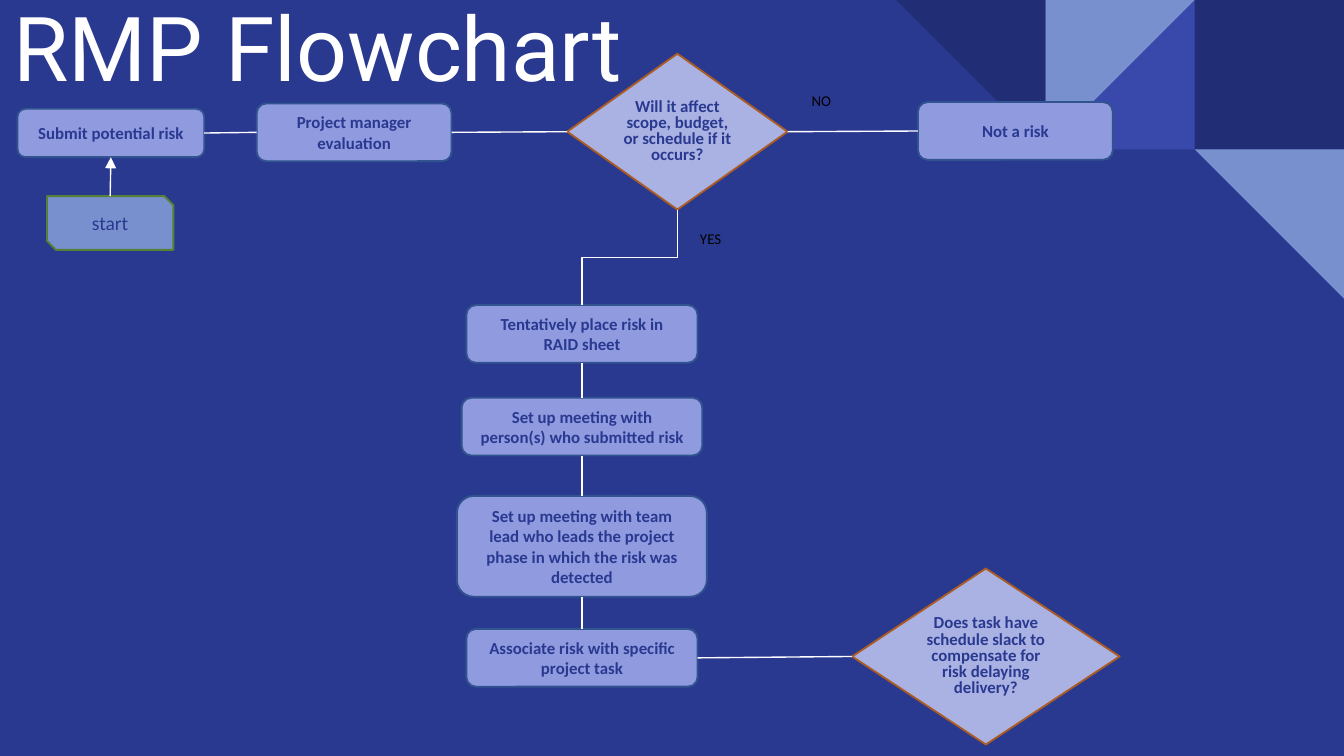
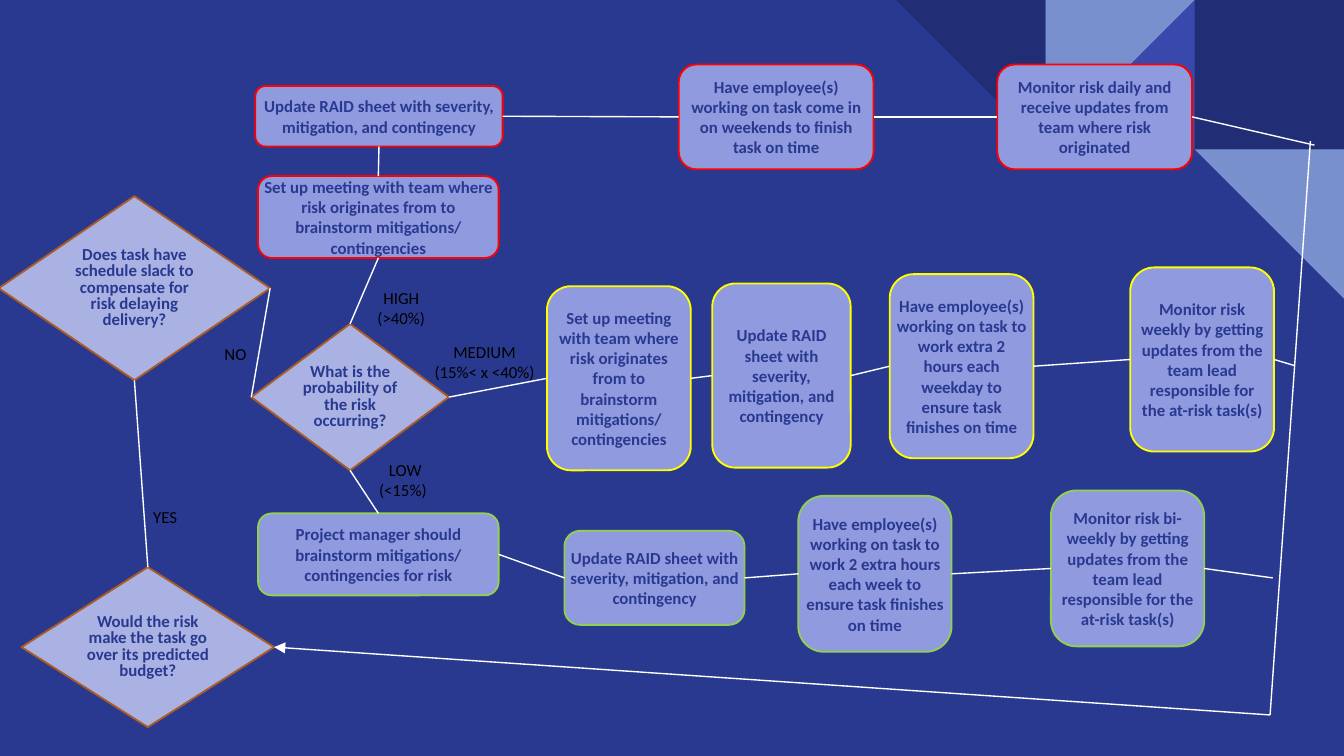
from collections import namedtuple
from dataclasses import dataclass

from lxml.etree import SubElement
from pptx import Presentation
from pptx.dml.color import RGBColor
from pptx.enum.shapes import MSO_CONNECTOR, MSO_SHAPE
from pptx.enum.text import MSO_ANCHOR, MSO_AUTO_SIZE, PP_ALIGN
from pptx.oxml.ns import qn
from pptx.util import Inches, Pt


@dataclass(frozen=True)
class Theme:
    background: str = "2A3990"
    navy: str = "212D74"
    indigo: str = "3949AB"
    sky: str = "7890CD"
    step: str = "8F9ADF"
    step_line: str = "31538F"
    decision: str = "AAB2E3"
    decision_line: str = "AC5B23"
    start_line: str = "548135"
    high: str = "FF0000"
    medium: str = "FFFF00"
    low: str = "92D050"
    white: str = "FFFFFF"
    black: str = "000000"
    title_font: str = "Roboto"
    body_font: str = "Calibri"
    title_size: float = 48
    start_size: float = 10.5
    body_size: float = 9
    small_size: float = 8
    outline: float = 1
    connector: float = 0.75


THEME = Theme()
COLUMNS, ROWS = 100, 56.25
CELL = Inches(0.1)
TILE = COLUMNS / 9
TOP, LEFT, BOTTOM, RIGHT = range(4)

Anchor = namedtuple("Anchor", "shape site")
Point = namedtuple("Point", "column row")

SLACK_QUESTION = "Does task have schedule slack to compensate for risk delaying delivery?"
BRAINSTORM = "Set up meeting with team where risk originates from to brainstorm mitigations/ contingencies"
UPDATE_SHEET = "Update RAID sheet with severity, mitigation, and contingency"


def cells(*lengths):
    return [round(length * CELL) for length in lengths]


def color(value):
    return RGBColor.from_string(value)


def style_paragraph(para, size, ink, bold=False, font=THEME.body_font, align=PP_ALIGN.CENTER):
    para.alignment = align
    para.font.name = font
    para.font.size = Pt(size)
    para.font.bold = bold
    para.font.color.rgb = color(ink)


def clear_margins(frame):
    frame.margin_left = frame.margin_right = frame.margin_top = frame.margin_bottom = 0


def add_figure(slide, kind, area, fill, line=None):
    figure = slide.shapes.add_shape(kind, *cells(*area))
    figure.shadow.inherit = False
    figure.fill.solid()
    figure.fill.fore_color.rgb = color(fill)
    if line:
        figure.line.color.rgb = color(line)
        figure.line.width = Pt(THEME.outline)
    else:
        figure.line.fill.background()
    return figure


def add_node(slide, kind, text, area, fill, line, size=THEME.body_size, bold=True, padded=False):
    node = add_figure(slide, kind, area, fill, line)
    frame = node.text_frame
    frame.word_wrap = True
    frame.vertical_anchor = MSO_ANCHOR.MIDDLE
    if not padded:
        clear_margins(frame)
    frame.text = text
    style_paragraph(frame.paragraphs[0], size, THEME.background, bold)
    return node


def add_step(slide, text, area, line=THEME.step_line, padded=False):
    return add_node(slide, MSO_SHAPE.ROUNDED_RECTANGLE, text, area, THEME.step, line, padded=padded)


def add_decision(slide, text, area):
    node = add_node(slide, MSO_SHAPE.DIAMOND, text, area, THEME.decision, THEME.decision_line)
    node.text_frame.paragraphs[0].line_spacing = 0.8
    return node


def add_label(slide, lines, area, size=THEME.body_size, padded=False):
    box = slide.shapes.add_textbox(*cells(*area))
    frame = box.text_frame
    frame.word_wrap = True
    if not padded:
        clear_margins(frame)
    frame.text = "\n".join(text for text, _ in lines)
    for para, (_, align) in zip(frame.paragraphs, lines):
        style_paragraph(para, size, THEME.black, align=align)


def add_link(slide, begin, end, arrow=False, kind=MSO_CONNECTOR.STRAIGHT):
    points = [cells(*place) if isinstance(place, Point) else (0, 0) for place in (begin, end)]
    link = slide.shapes.add_connector(kind, *points[0], *points[1])
    if isinstance(begin, Anchor):
        link.begin_connect(*begin)
    if isinstance(end, Anchor):
        link.end_connect(*end)
    link.line.color.rgb = color(THEME.white)
    link.line.width = Pt(THEME.connector)
    properties = link.element.spPr
    if arrow:
        SubElement(properties.find(qn("a:ln")), qn("a:tailEnd"), type="triangle")
    SubElement(properties, qn("a:effectLst"))
    return link


def add_downward_elbow(slide, begin, end):
    link = add_link(slide, begin, end, kind=MSO_CONNECTOR.ELBOW)
    frame = link.element.spPr.find(qn("a:xfrm"))
    frame.attrib.pop("flipH", None)
    frame.set("rot", str(90 * 60000))


def add_chain(slide, nodes, begin_site=RIGHT, end_site=LEFT):
    for before, after in zip(nodes, nodes[1:]):
        add_link(slide, Anchor(before, begin_site), Anchor(after, end_site))


def decorate_master(deck, slide):
    triangle = MSO_SHAPE.RIGHT_TRIANGLE
    tiles = [
        (MSO_SHAPE.RECTANGLE, 8, 0, THEME.navy, 0, False),
        (triangle, 7, 0, THEME.indigo, 0, True),
        (triangle, 7, 0, THEME.sky, 180, True),
        (triangle, 6, 0, THEME.navy, 180, False),
        (triangle, 8, 1, THEME.sky, 180, False),
    ]
    master = deck.slide_master
    master.background.fill.solid()
    master.background.fill.fore_color.rgb = color(THEME.background)
    tree = master.element.cSld.spTree
    for index, (kind, column, row, fill, turn, flipped) in enumerate(tiles):
        tile = add_figure(slide, kind, (column * TILE, row * TILE, TILE, TILE), fill)
        tile.rotation = turn
        if flipped:
            tile.element.spPr.find(qn("a:xfrm")).set("flipH", "1")
        tile.element.nvSpPr.cNvPr.set("id", str(100 + index))
        tree.insert(2 + index, tile.element)


def format_title(slide, text, area):
    title = slide.shapes.title
    title.left, title.top, title.width, title.height = cells(*area)
    frame = title.text_frame
    frame.text = text
    frame.auto_size = MSO_AUTO_SIZE.NONE
    frame.vertical_anchor = MSO_ANCHOR.BOTTOM
    frame.margin_left = frame.margin_right = frame.margin_top = frame.margin_bottom = CELL
    style_paragraph(frame.paragraphs[0], THEME.title_size, THEME.white, font=THEME.title_font)


def build_intake(slide):
    format_title(slide, "RMP Flowchart", (-9.2, -0.8, 65.7, 9.2))
    submit = add_step(slide, "Submit potential risk", (1.3, 8.1, 13.9, 3.6), padded=True)
    evaluation = add_step(slide, "Project manager evaluation", (19.1, 7.7, 14.5, 4.3), padded=True)
    add_node(slide, MSO_SHAPE.SNIP_2_DIAG_RECTANGLE, "start", (3.5, 14.6, 9.4, 4), THEME.sky,
             THEME.start_line, THEME.start_size, bold=False, padded=True)
    affects = add_decision(slide, "Will it affect scope, budget, or schedule if it occurs?",
                           (42.2, 4, 16.4, 11.6))
    no_risk = add_step(slide, "Not a risk", (68.3, 7.6, 14.5, 4.3), padded=True)
    middle = 43.3
    steps = [
        ("Tentatively place risk in RAID sheet", 22.7, 17.2, 4.3, True),
        ("Set up meeting with person(s) who submitted risk", 29.6, 17.9, 4.3, True),
        ("Set up meeting with team lead who leads the project phase in which the risk was detected",
         36.9, 18.6, 7.5, True),
        ("Associate risk with specific project task", 46.8, 17.2, 4.3, False),
    ]
    column = [add_step(slide, text, (middle - width / 2, top, width, height), padded=padded)
              for text, top, width, height, padded in steps]
    slack = add_decision(slide, SLACK_QUESTION, (63.4, 42.3, 19.9, 13.1))

    add_link(slide, Point(8.2, 14.6), Anchor(submit, BOTTOM), arrow=True)
    add_chain(slide, [submit, evaluation, affects, no_risk])
    add_downward_elbow(slide, Anchor(affects, BOTTOM), Anchor(column[0], TOP))
    add_chain(slide, column, BOTTOM, TOP)
    add_chain(slide, [column[-1], slack])
    for text, area in (("NO", (59.4, 6.3, 7.5, 2.4)), ("YES", (51.1, 16.6, 6.2, 2.4))):
        add_label(slide, [(text, PP_ALIGN.LEFT)], area, THEME.small_size, padded=True)


def build_response(slide):
    slack = add_decision(slide, SLACK_QUESTION, (-0.1, 14.6, 20.2, 13.7))
    probability = add_decision(slide, "What is the probability of the risk occurring?",
                               (18.7, 24.1, 14.7, 10.9))
    budget = add_decision(slide, "Would the risk make the task go over its predicted budget?",
                          (1.6, 42.2, 18.8, 11.9))
    tracks = [
        (THEME.high, [
            (BRAINSTORM, (19.2, 13.1, 17.9, 6.1)),
            (UPDATE_SHEET, (19, 6.4, 18.4, 4.5)),
            ("Have employee(s) working on task come in on weekends to finish task on time",
             (50.5, 4.8, 14.5, 7.8)),
            ("Monitor risk daily and receive updates from team where risk originated",
             (74.2, 4.8, 14.5, 7.8)),
        ]),
        (THEME.medium, [
            (BRAINSTORM, (40.7, 21.3, 10.7, 13.7)),
            (UPDATE_SHEET, (53, 21.1, 10.3, 13.7)),
            ("Have employee(s) working on task to work extra 2 hours each weekday to ensure task "
             "finishes on time", (66.2, 20.4, 10.7, 13.7)),
            ("Monitor risk weekly by getting updates from the team lead responsible for the "
             "at-risk task(s)", (84.1, 19.9, 10.7, 13.7)),
        ]),
        (THEME.low, [
            ("Project manager should brainstorm mitigations/ contingencies for risk",
             (19.2, 38.2, 17.9, 6.1)),
            (UPDATE_SHEET, (42, 39.5, 13.4, 7)),
            ("Have employee(s) working on task to work 2 extra hours each week to ensure task "
             "finishes on time", (59.4, 36.9, 11.4, 11.6)),
            ("Monitor risk bi-weekly by getting updates from the team lead responsible for the "
             "at-risk task(s)", (78.2, 36.5, 11.4, 11.6)),
        ]),
    ]
    high, medium, low = [[add_step(slide, text, area, line) for text, area in steps]
                         for line, steps in tracks]

    add_link(slide, Anchor(slack, BOTTOM), Anchor(budget, TOP))
    add_chain(slide, [slack, probability])
    add_link(slide, Anchor(probability, TOP), Anchor(high[0], BOTTOM))
    add_link(slide, Anchor(probability, BOTTOM), Anchor(low[0], TOP))
    add_chain(slide, high[:2], TOP, BOTTOM)
    add_chain(slide, high[1:])
    add_chain(slide, [probability, *medium])
    add_chain(slide, low)

    exits = (Point(97.8, 10.8), Point(96.3, 27.2), Point(94.7, 43))
    for track, point in zip((high, medium, low), exits):
        add_link(slide, Anchor(track[-1], RIGHT), point)
    corner = Point(94.5, 53.2)
    add_link(slide, Point(97.5, 10.5), corner)
    add_link(slide, corner, Anchor(budget, RIGHT), arrow=True)

    left, center = PP_ALIGN.LEFT, PP_ALIGN.CENTER
    add_label(slide, [("NO", left)], (16.7, 25.6, 2.2, 1.5))
    add_label(slide, [("YES", left)], (11.4, 37.7, 2.5, 1.5))
    add_label(slide, [("HIGH", center), ("(>40%)", center)], (27.4, 21.4, 4.9, 3))
    add_label(slide, [("MEDIUM", center), ("(15%< x <40%)", center)], (32.2, 25.4, 7.7, 3))
    add_label(slide, [("LOW", center), ("(<15%)", left)], (28.2, 34.2, 3.9, 3))


def main():
    deck = Presentation()
    deck.slide_width, deck.slide_height = cells(COLUMNS, ROWS)
    title_only, blank = deck.slide_layouts[5], deck.slide_layouts[6]
    intake = deck.slides.add_slide(title_only)
    decorate_master(deck, intake)
    build_intake(intake)
    build_response(deck.slides.add_slide(blank))
    deck.save("out.pptx")


if __name__ == "__main__":
    main()
